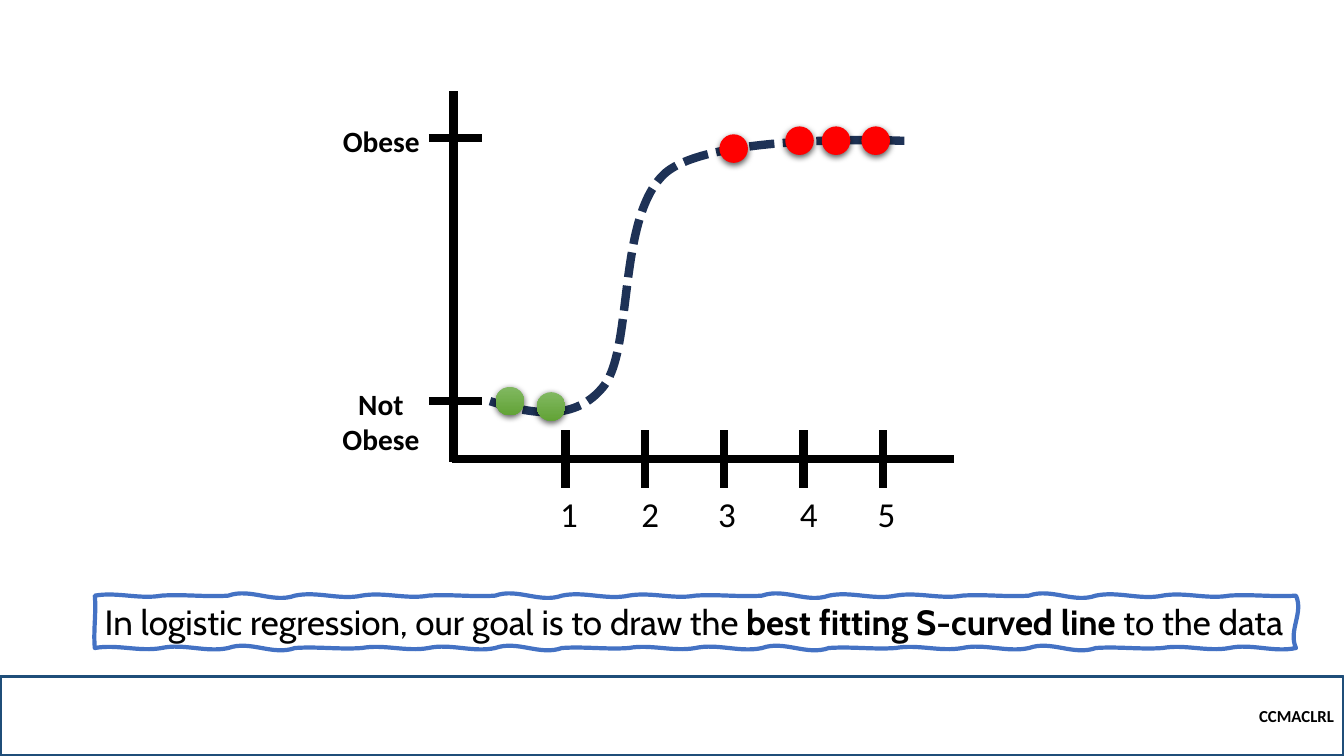
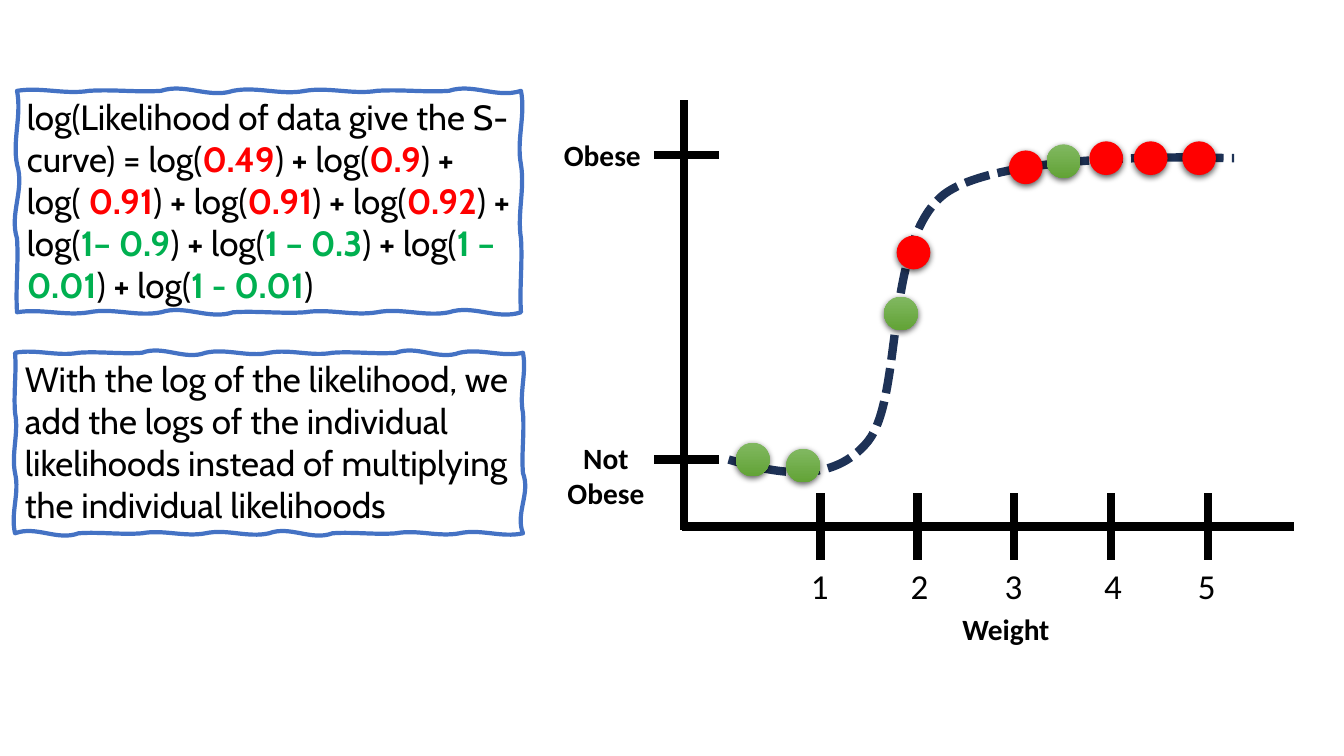
"""Build two slides on fitting an S-curve with logistic regression."""
import itertools
import math

import lxml.etree
import pptx
import pptx.dml.color
import pptx.enum.dml
import pptx.enum.shapes
import pptx.enum.text
import pptx.oxml.ns
import pptx.util

Cm = pptx.util.Cm
Pt = pptx.util.Pt
RGBColor = pptx.dml.color.RGBColor
ALIGN = pptx.enum.text.PP_ALIGN
ANCHOR = pptx.enum.text.MSO_ANCHOR
SHAPE = pptx.enum.shapes.MSO_SHAPE
qn = pptx.oxml.ns.qn

BLACK = RGBColor(0x00, 0x00, 0x00)
RED = RGBColor(0xFF, 0x00, 0x00)
GREEN = RGBColor(0x00, 0xB0, 0x50)
DOT_GREEN_TOP = RGBColor(0x81, 0xB8, 0x61)
DOT_GREEN_BOTTOM = RGBColor(0x62, 0xA3, 0x36)
CURVE_NAVY = RGBColor(0x1E, 0x32, 0x56)
BOX_BLUE = RGBColor(0x44, 0x72, 0xC4)
BAND_BLUE = RGBColor(0x1F, 0x4E, 0x79)

SLIDE_WIDTH, SLIDE_HEIGHT = 33.87, 19.05
BAND_TOP = 17.04
WAVE_LENGTH = 1.7
WAVE_SWAYS = (0.1, 0.04, 0.2, 0.12)


def add_label(slide, center, top, width, text, size, bold):
    """Add a centred text box without side margins."""
    label = slide.shapes.add_textbox(Cm(center - width / 2), Cm(top), Cm(width), Cm(1.2))
    frame = label.text_frame
    frame.word_wrap = True
    frame.auto_size = pptx.enum.text.MSO_AUTO_SIZE.SHAPE_TO_FIT_TEXT
    frame.margin_left = frame.margin_right = 0
    paragraph = frame.paragraphs[0]
    paragraph.text = text
    paragraph.alignment = ALIGN.CENTER
    font = paragraph.runs[0].font
    font.name, font.size, font.bold = "Calibri", Pt(size), bold
    font.color.rgb = BLACK


def add_curved_outline(slide, left, top, right, bottom, points, closed, color, width):
    """Add an unfilled outline of Bezier curves: a start point, then three points a curve."""
    builder = slide.shapes.build_freeform(Cm(left), Cm(top), scale=1.0)
    builder.add_line_segments(
        [(Cm(right), Cm(top)), (Cm(right), Cm(bottom)), (Cm(left), Cm(bottom))], close=closed)
    shape = builder.convert_to_shape()
    outline = next(shape.element.iter(qn("a:path")))
    for segment in list(outline):
        outline.remove(segment)
    for index, (x, y) in enumerate(points):
        if index == 0:
            segment = lxml.etree.SubElement(outline, qn("a:moveTo"))
        elif index % 3 == 1:
            segment = lxml.etree.SubElement(outline, qn("a:cubicBezTo"))
        lxml.etree.SubElement(segment, qn("a:pt"), x=str(Cm(x - left)), y=str(Cm(y - top)))
    if closed:
        lxml.etree.SubElement(outline, qn("a:close"))
    shape.shadow.inherit = False
    shape.fill.background()
    shape.line.color.rgb = color
    shape.line.width = Pt(width)
    return shape


goal_runs = [
    ("In logistic regression, our goal is to draw the ", BLACK, False),
    ("best fitting S-curved line ", BLACK, True),
    ("to the data", BLACK, False),
]

likelihood_terms = [
    ("log(Likelihood of data give the S-curve) = log(", "0.49", RED),
    ("log(", "0.9", RED),
    ("log( ", "0.91", RED),
    ("log(", "0.91", RED),
    ("log(", "0.92", RED),
    ("log(", "1– 0.9", GREEN),
    ("log(", "1 – 0.3", GREEN),
    ("log(", "1 – 0.01", GREEN),
    ("log(", "1 - 0.01", GREEN),
]
likelihood_runs = []
for opening, value, color in likelihood_terms:
    if likelihood_runs:
        likelihood_runs += [(") ", BLACK, False), ("+ ", BLACK, True)]
    likelihood_runs += [(opening, BLACK, False), (value, color, True)]
likelihood_runs.append((")", BLACK, False))

explanation_runs = [(
    "With the log of the likelihood, we add the logs of the individual likelihoods "
    "instead of multiplying the individual likelihoods", BLACK, False,
)]

AXIS_WEIGHT, AXIS_LEVEL = -0.41, -0.22
TICK_LEFT, TICK_RIGHT = -0.72, -0.05
TICK_TOP, TICK_BOTTOM = -0.11, -0.33
plot_lines = [
    (AXIS_WEIGHT, -0.23, AXIS_WEIGHT, 1.18),
    (-0.43, AXIS_LEVEL, 5.89, AXIS_LEVEL),
]
plot_lines += [(weight, TICK_TOP, weight, TICK_BOTTOM) for weight in range(1, 6)]
plot_lines += [(TICK_LEFT, level, TICK_RIGHT, level) for level in (0, 1)]

curve_points = [
    (0.05, 0), (0.58, -0.05), (1.13, -0.08), (1.49, 0.06),
    (1.86, 0.21), (1.65, 0.71), (2.27, 0.87),
    (2.88, 1.02), (5.22, 0.99), (5.22, 0.99),
    (5.22, 0.99), (5.27, 0.99), (5.27, 0.99),
]
CURVE_BOTTOM, CURVE_TOP = -0.04, 0.99

first_dots = [
    (0.82, -0.02, GREEN), (0.3, 0, GREEN), (3.12, 0.96, RED),
    (3.95, 0.99, RED), (4.41, 0.99, RED), (4.91, 0.99, RED),
]
all_dots = first_dots + [(1.83, 0.48, GREEN), (1.96, 0.68, RED), (3.51, 0.98, GREEN)]

slides = [
    {
        "boxes": [(2.39, 15.01, 32.66, 16.33, goal_runs)],
        "one_x": 14.25, "zero_y": 10.11, "unit": 2.0, "rise": 6.63,
        "dots": first_dots, "diameter": 0.72, "footer": "CCMACLRL",
        "number_centers": (14.34, 16.39, 18.32, 20.38, 22.34),
        "labels": [("Not Obese", 9.6, 9.6), ("Obese", 9.61, 2.97)],
    },
    {
        "boxes": [
            (0.38, 8.89, 13.18, 13.44, explanation_runs),
            (0.43, 2.29, 13.13, 7.87, likelihood_runs),
        ],
        "one_x": 20.68, "zero_y": 11.58, "unit": 2.44, "rise": 7.67,
        "dots": all_dots, "diameter": 0.85, "footer": None,
        "number_centers": (20.66, 23.17, 25.54, 28.05, 30.41),
        "labels": [("Not Obese", 15.27, 10.97), ("Obese", 15.18, 3.33), ("Weight", 25.35, 15.27)],
    },
]

presentation = pptx.Presentation()
presentation.slide_width = Cm(SLIDE_WIDTH)
presentation.slide_height = Cm(SLIDE_HEIGHT)

for content in slides:
    slide = presentation.slides.add_slide(presentation.slide_layouts[6])
    one_x, zero_y = content["one_x"], content["zero_y"]
    unit, rise = content["unit"], content["rise"]

    if content["footer"]:
        band = slide.shapes.add_shape(
            SHAPE.RECTANGLE, 0, Cm(BAND_TOP), Cm(SLIDE_WIDTH), Cm(SLIDE_HEIGHT - BAND_TOP))
        band.shadow.inherit = False
        band.fill.background()
        band.line.color.rgb = BAND_BLUE
        band.line.width = Pt(2.25)
        band.text_frame.vertical_anchor = ANCHOR.MIDDLE
        paragraph = band.text_frame.paragraphs[0]
        paragraph.text = content["footer"]
        paragraph.alignment = ALIGN.RIGHT
        font = paragraph.runs[0].font
        font.name, font.size, font.bold = "Calibri", Pt(12), True
        font.color.rgb = BLACK

    for left, top, right, bottom, runs in content["boxes"]:
        corners = [(left, top), (right, top), (right, bottom), (left, bottom), (left, top)]
        sways = itertools.cycle(WAVE_SWAYS)
        wave_points = [corners[0]]
        for (x1, y1), (x2, y2) in itertools.pairwise(corners):
            length = math.hypot(x2 - x1, y2 - y1)
            waves = max(1, round(length / WAVE_LENGTH))
            for wave in range(waves):
                sway = next(sways)
                for third, offset in ((1, sway), (2, -sway), (3, 0)):
                    t = (wave + third / 3) / waves
                    wave_points.append((
                        x1 + (x2 - x1) * t + (y2 - y1) / length * offset,
                        y1 + (y2 - y1) * t - (x2 - x1) / length * offset,
                    ))
        box = add_curved_outline(slide, left, top, right, bottom, wave_points, True, BOX_BLUE, 3)
        frame = box.text_frame
        frame.word_wrap = True
        frame.vertical_anchor = ANCHOR.TOP
        paragraph = frame.paragraphs[0]
        paragraph.alignment = ALIGN.LEFT
        for text, color, bold in runs:
            run = paragraph.add_run()
            run.text = text
            run.font.name, run.font.size, run.font.bold = "Cabin", Pt(25), bold
            run.font.color.rgb = color

    for weight_1, level_1, weight_2, level_2 in plot_lines:
        line = slide.shapes.add_connector(
            pptx.enum.shapes.MSO_CONNECTOR.STRAIGHT,
            Cm(one_x + (weight_1 - 1) * unit), Cm(zero_y - level_1 * rise),
            Cm(one_x + (weight_2 - 1) * unit), Cm(zero_y - level_2 * rise))
        line.line.color.rgb = BLACK
        line.line.width = Pt(6)
        lxml.etree.SubElement(line.element.spPr, qn("a:effectLst"))

    for number, center in enumerate(content["number_centers"], start=1):
        add_label(slide, center, zero_y - TICK_BOTTOM * rise, 1, str(number), 25, False)
    for text, center, top in content["labels"]:
        add_label(slide, center, top, 2.5, text, 21, True)

    curve_places = [
        (one_x + (weight - 1) * unit, zero_y - level * rise) for weight, level in curve_points
    ]
    curve = add_curved_outline(
        slide, curve_places[0][0], zero_y - CURVE_TOP * rise,
        curve_places[-1][0], zero_y - CURVE_BOTTOM * rise, curve_places, False, CURVE_NAVY, 6)
    curve.line.dash_style = pptx.enum.dml.MSO_LINE.SQUARE_DOT

    diameter = content["diameter"]
    for weight, level, color in content["dots"]:
        dot = slide.shapes.add_shape(
            SHAPE.OVAL,
            Cm(one_x + (weight - 1) * unit - diameter / 2),
            Cm(zero_y - level * rise - diameter / 2), Cm(diameter), Cm(diameter))
        dot.line.fill.background()
        if color == RED:
            dot.fill.solid()
            dot.fill.fore_color.rgb = RED
        else:
            dot.fill.gradient()
            dot.fill.gradient_angle = 270
            for stop, stop_color in zip(dot.fill.gradient_stops, (DOT_GREEN_TOP, DOT_GREEN_BOTTOM)):
                stop.color.rgb = stop_color
        dot.shadow.inherit = False
        effects = dot.element.spPr.find(qn("a:effectLst"))
        shadow = lxml.etree.SubElement(
            effects, qn("a:outerShdw"), blurRad=str(Pt(4.5)), dist=str(Pt(1.5)),
            dir="5400000", algn="ctr", rotWithShape="0")
        shadow_color = lxml.etree.SubElement(shadow, qn("a:srgbClr"), val=str(BLACK))
        lxml.etree.SubElement(shadow_color, qn("a:alpha"), val="63000")

presentation.save("out.pptx")
